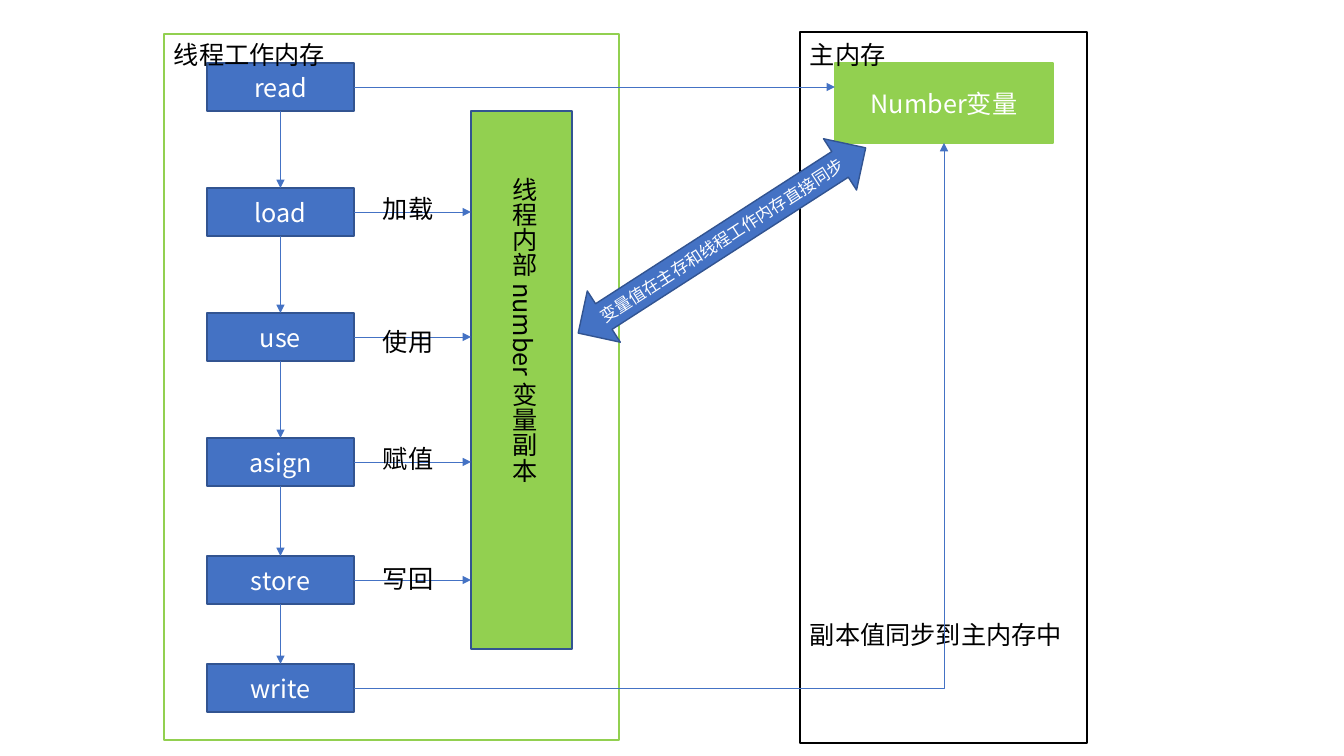
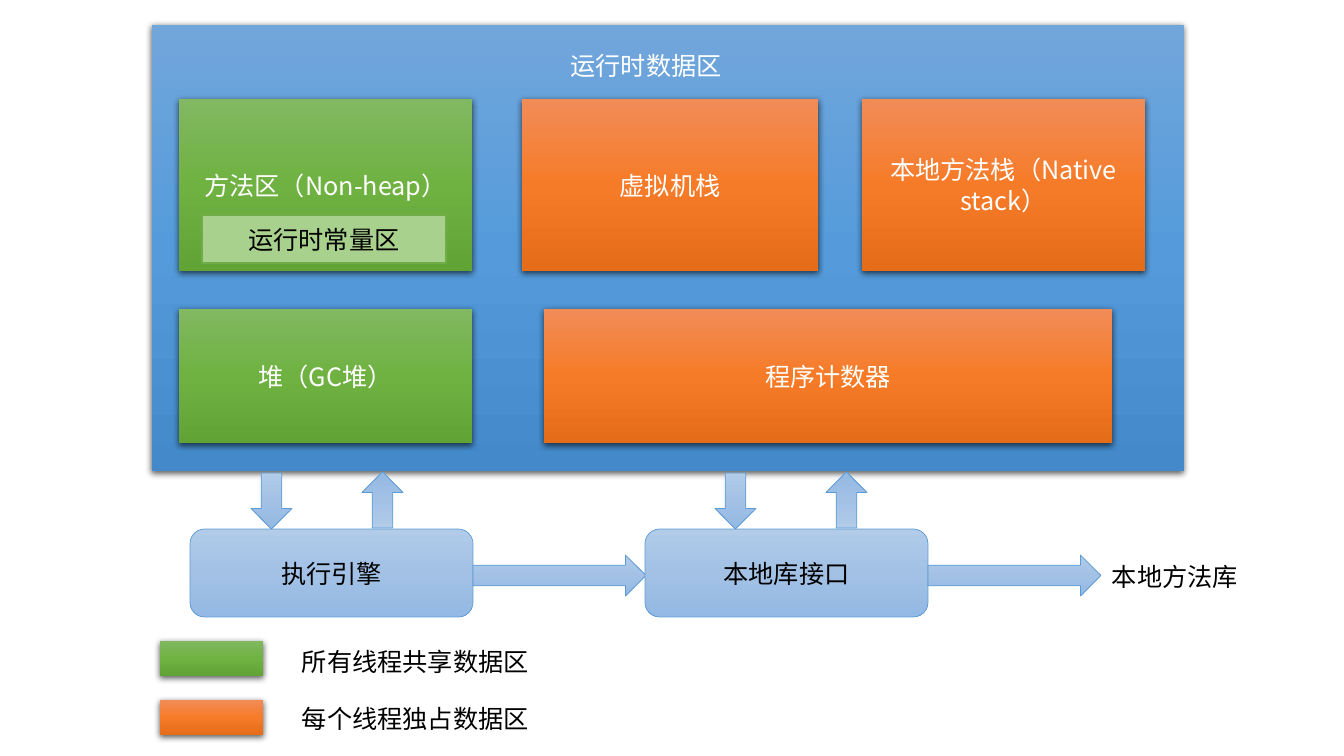
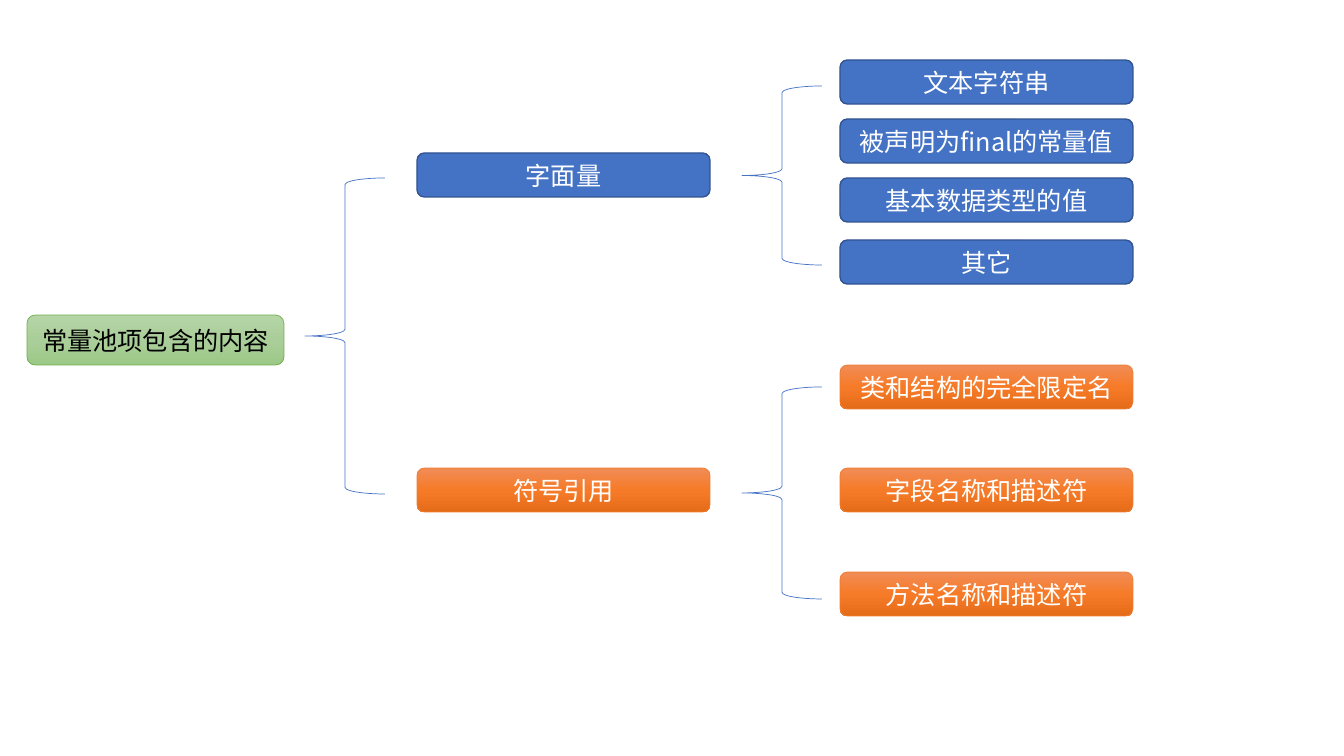
"""Build three diagrams of memory areas and the constant pool."""
from copy import deepcopy
from dataclasses import dataclass

from lxml import etree
from pptx import Presentation, util as u
from pptx.dml.color import RGBColor
from pptx.enum import shapes, text
from pptx.oxml.ns import qn

FONT = "Noto Sans CJK SC"
BLUE, GREEN, WHITE, BLACK = "4472C4", "92D050", "FFFFFF", "000000"
KIND = shapes.MSO_SHAPE
CENTER = text.PP_ALIGN.CENTER
LEFT = text.PP_ALIGN.LEFT


@dataclass
class Style:
    """Fill colours from top to bottom, outline, text colour and shadow."""
    fills: tuple
    line: str = ""
    weight: float = 1
    ink: str = WHITE
    shadow: bool = False


ORANGES = ("F18C57", "F67B28", "E56C19")
STEP = Style((BLUE,), "325491")
COPY_BAR = Style((GREEN,), "325491")
VARIABLE = Style((GREEN,), GREEN)
WORK_PANEL = Style((WHITE,), GREEN)
MAIN_PANEL = Style((WHITE,), BLACK)
RUNTIME = Style(("71A6DB", "559BDB", "448ACA"), shadow=True)
SHARED = Style(("81B861", "6FB242", "62A336"), shadow=True)
PRIVATE = Style(ORANGES, shadow=True)
CONSTANTS = Style(("A9D18E",), "70AD47", ink=BLACK)
ENGINE = Style(("B1CBE9", "A3C1E5", "93B9E4"), "5B9BD5", 0.5, BLACK)
SYMBOL = Style(ORANGES, "ED7D31", 0.5)
ROOT = Style(("B5D5A7", "AACE9A", "9CC987"), "70AD47", 0.5, BLACK)
BRACE = Style((), BLUE, 0.5)


def px(*lengths):
    """Turn pixels into a list of EMU lengths."""
    return [u.Inches(length / 100.8) for length in lengths]


def color(value):
    """Turn a hex string into a colour."""
    return RGBColor.from_string(value)


def write(frame, words, ink, size, align):
    """Put one formatted paragraph into a text frame."""
    frame.text = words
    frame.word_wrap = True
    para = frame.paragraphs[0]
    para.alignment = align
    for span in para.runs:
        span.font.size = u.Pt(size)
        span.font.name = FONT
        span.font.color.rgb = color(ink)
        etree.SubElement(span.font._element, qn("a:ea"), typeface=FONT)


def paint(shape, fills):
    """Fill a shape with nothing, one colour or a downward gradient."""
    if not fills:
        shape.fill.background()
    elif len(fills) == 1:
        shape.fill.solid()
        shape.fill.fore_color.rgb = color(fills[0])
    else:
        shape.fill.gradient()
        shape.fill.gradient_angle = 270
        stops = shape.element.spPr.find(".//" + qn("a:gsLst"))
        stops.append(deepcopy(stops[-1]))
        for index, stop in enumerate(shape.fill.gradient_stops):
            stop.position = index / 2
            stop.color.rgb = color(fills[index])


def cast_shadow(shape):
    """Give a shape a soft shadow below it."""
    effects = shape.element.spPr.find(qn("a:effectLst"))
    shadow = etree.SubElement(effects, qn("a:outerShdw"), blurRad="57150",
                              dist="19050", dir="5400000", algn="ctr",
                              rotWithShape="0")
    black = etree.SubElement(shadow, qn("a:srgbClr"), val=BLACK)
    etree.SubElement(black, qn("a:alpha"), val="63000")


def block(page, box, style, words="", kind=KIND.RECTANGLE, size=18):
    """Draw a styled shape, with centred words if there are any."""
    shape = page.shapes.add_shape(kind, *px(*box))
    shape.shadow.inherit = False
    paint(shape, style.fills)
    if style.line:
        shape.line.color.rgb = color(style.line)
        shape.line.width = u.Pt(style.weight)
    else:
        shape.line.fill.background()
    if style.shadow:
        cast_shadow(shape)
    if words:
        write(shape.text_frame, words, style.ink, size, CENTER)
    return shape


def label(page, box, words, ink=BLACK, align=LEFT):
    """Write a plain line of text."""
    frame = page.shapes.add_textbox(*px(*box)).text_frame
    write(frame, words, ink, 18, align)
    frame.auto_size = text.MSO_AUTO_SIZE.SHAPE_TO_FIT_TEXT
    return frame


def arrow(page, start, end, kind=shapes.MSO_CONNECTOR.STRAIGHT):
    """Draw a thin line that ends in an arrowhead."""
    line = page.shapes.add_connector(kind, *px(*start, *end))
    line.line.color.rgb = color(BLUE)
    line.line.width = u.Pt(0.5)
    properties = line.element.spPr
    etree.SubElement(properties.find(qn("a:ln")), qn("a:tailEnd"),
                     type="triangle")
    etree.SubElement(properties, qn("a:effectLst"))
    return line


def working_memory(page, box):
    """Draw the thread panel and return its first and last steps."""
    left, top, width, height = box
    block(page, box, WORK_PANEL)
    step_left, bar_left = left + 43, left + 307
    block(page, (bar_left, top + 77, 101, 538), COPY_BAR)
    names = ("read", "load", "use", "asign", "store", "write")
    tops = [top + offset for offset in (29, 154, 279, 404, 522, 630)]
    steps = [block(page, (step_left, step_top, 147, 48), STEP, name)
             for name, step_top in zip(names, tops)]
    for index in range(len(steps) - 1):
        middle = step_left + 74
        line = arrow(page, (middle, tops[index] + 48),
                     (middle, tops[index + 1]))
        line.begin_connect(steps[index], 2)
        line.end_connect(steps[index + 1], 0)
    actions = (("加载", 0), ("使用", 8), ("赋值", 0), ("写回", 2))
    for (words, drop), step_top in zip(actions, tops[1:]):
        arrow(page, (step_left + 147, step_top + 24),
              (bar_left, step_top + 24))
        label(page, (left + 209, step_top + drop, 91, 40), words)
    frame = label(page, (left + 330, top + 133, 50, 413),
                  "线程内部 number 变量副本")
    frame._txBody.bodyPr.set("vert", "eaVert")
    label(page, (left, top, 208, 40), "线程工作内存")
    return steps[0], steps[-1]


def main_memory(page, box):
    """Draw the main memory panel and return its variable."""
    left, top, width, height = box
    block(page, box, MAIN_PANEL)
    variable = block(page, (left + 35, top + 31, 218, 80), VARIABLE,
                     "Number变量")
    label(page, (left, top + 2, 144, 40), "主内存")
    label(page, (left, top + 582, width, 40), "副本值同步到主内存中")
    return variable


def thread_slide(page):
    """Join the thread panel with the main memory panel."""
    read, last = working_memory(page, (164, 34, 455, 706))
    variable = main_memory(page, (800, 32, 287, 711))
    arrow(page, (354, 87), (835, 87)).begin_connect(read, 3)
    back = arrow(page, (354, 688), (944, 143), shapes.MSO_CONNECTOR.ELBOW)
    back.begin_connect(last, 3)
    back.end_connect(variable, 2)
    back.element.spPr.find(qn("a:prstGeom")).set("prst", "bentConnector2")
    sync = block(page, (551, 210, 342, 61), STEP,
                 "变量值在主存和线程工作内存直接同步",
                 KIND.LEFT_RIGHT_ARROW, 12)
    sync.rotation = 327.2


def runtime_area(page, box):
    """Draw the runtime data area with its five regions."""
    left, top, width, height = box
    block(page, box, RUNTIME)
    upper, lower = (top + 74, 172), (top + 284, 134)
    regions = (
        (27, 293, upper, SHARED, "方法区（Non-heap）"),
        (27, 293, lower, SHARED, "堆（GC堆）"),
        (370, 296, upper, PRIVATE, "虚拟机栈"),
        (710, 283, upper, PRIVATE, "本地方法栈（Native stack）"),
        (392, 568, lower, PRIVATE, "程序计数器"),
    )
    for offset, span, (row_top, row_height), style, words in regions:
        block(page, (left + offset, row_top, span, row_height), style, words)
    label(page, (left + 321, top + 20, 346, 40), "运行时数据区", WHITE, CENTER)
    block(page, (left + 50, top + 190, 244, 48), CONSTANTS, "运行时常量区")


def engine(page, box, words, arrow_offset):
    """Draw an engine with arrows to and from the area and onward."""
    left, top, width, height = box
    block(page, box, ENGINE, words, KIND.ROUNDED_RECTANGLE)
    down_left = left + arrow_offset
    block(page, (down_left, top - 56, 41, 56), ENGINE, kind=KIND.DOWN_ARROW)
    up = block(page, (down_left + 111, top - 57, 41, 56), ENGINE,
               kind=KIND.DOWN_ARROW)
    up.element.spPr.xfrm.set("flipV", "1")
    block(page, (left + width, top + 26, 173, 41), ENGINE,
          kind=KIND.RIGHT_ARROW)


def legend(page, box):
    """Explain the two region colours."""
    left, top, width, height = box
    entries = ((0, 0, SHARED, "所有线程共享数据区"),
               (59, 57, PRIVATE, "每个线程独占数据区"))
    for swatch_drop, words_drop, style, words in entries:
        block(page, (left, top + swatch_drop, 103, 35), style)
        label(page, (left + 132, top + words_drop, width - 132, 40), words)


def runtime_slide(page):
    """Place the runtime area, the engines and the legend."""
    runtime_area(page, (152, 25, 1032, 446))
    engine(page, (190, 529, 283, 88), "执行引擎", 61)
    engine(page, (645, 529, 283, 88), "本地库接口", 70)
    label(page, (1102, 556, 150, 40), "本地方法库")
    legend(page, (160, 641, 383, 97))


def branch(page, box, style, name, name_drop, brace, leaves):
    """Draw a named node, its brace and its leaves."""
    left, top, width, height = box
    brace_drop, brace_height = brace
    nodes = [(0, name_drop, name)]
    nodes += [(width - 293, drop, words) for drop, words in leaves]
    for offset, drop, words in nodes:
        block(page, (left + offset, top + drop, 293, 44), style, words,
              KIND.ROUNDED_RECTANGLE)
    block(page, (left + 325, top + brace_drop, 80, brace_height), BRACE,
          kind=KIND.LEFT_BRACE)


def constants_slide(page):
    """Draw the tree of constant pool items."""
    branch(page, (417, 60, 716, 224), STEP, "字面量", 93, (26, 179),
           ((0, "文本字符串"), (59, "被声明为final的常量值"),
            (118, "基本数据类型的值"), (180, "其它")))
    branch(page, (417, 365, 716, 251), SYMBOL, "符号引用", 103, (22, 212),
           ((0, "类和结构的完全限定名"), (103, "字段名称和描述符"),
            (207, "方法名称和描述符")))
    block(page, (305, 178, 80, 316), BRACE, kind=KIND.LEFT_BRACE)
    block(page, (27, 315, 257, 50), ROOT, "常量池项包含的内容",
          KIND.ROUNDED_RECTANGLE)


def main():
    """Build the deck and save it."""
    deck = Presentation()
    deck.slide_width, deck.slide_height = px(1344, 756)
    for draw in (thread_slide, runtime_slide, constants_slide):
        draw(deck.slides.add_slide(deck.slide_layouts[6]))
    deck.save("out.pptx")


main()
